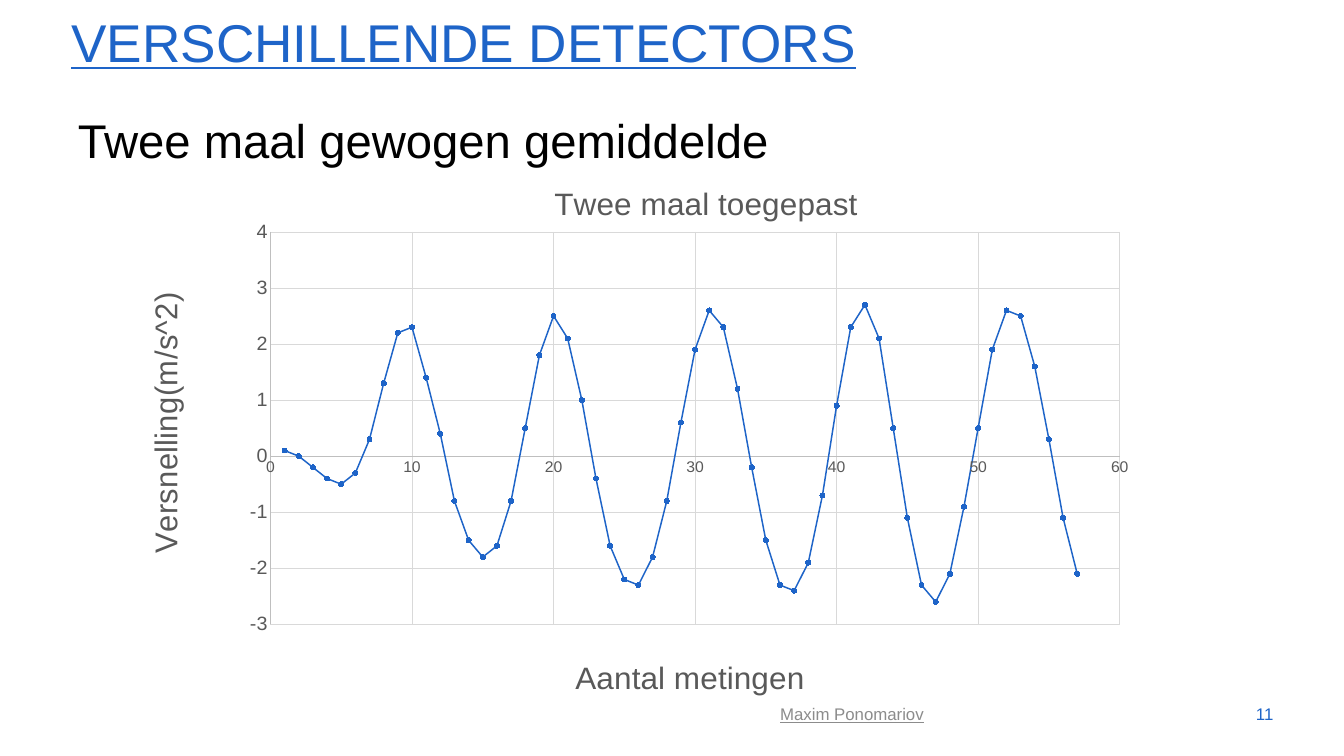
from pptx import Presentation
from pptx.chart.data import XyChartData
from pptx.dml.color import RGBColor
from pptx.enum.chart import XL_CHART_TYPE, XL_MARKER_STYLE, XL_TICK_MARK
from pptx.enum.text import MSO_ANCHOR, PP_ALIGN
from pptx.oxml import parse_xml
from pptx.oxml.ns import nsdecls, qn
from pptx.util import Cm, Pt

FONT = "Arial"
BLUE, GREY = "1E64C8", "595959"
VALUES = [
    0.1, 0, -0.2, -0.4, -0.5, -0.3, 0.3, 1.3, 2.2, 2.3, 1.4, 0.4,
    -0.8, -1.5, -1.8, -1.6, -0.8, 0.5, 1.8, 2.5, 2.1, 1, -0.4,
    -1.6, -2.2, -2.3, -1.8, -0.8, 0.6, 1.9, 2.6, 2.3, 1.2, -0.2,
    -1.5, -2.3, -2.4, -1.9, -0.7, 0.9, 2.3, 2.7, 2.1, 0.5, -1.1,
    -2.3, -2.6, -2.1, -0.9, 0.5, 1.9, 2.6, 2.5, 1.6, 0.3, -1.1, -2.1,
]


def paint(color, tone):
    """Set a colour format from a hex string."""
    color.rgb = RGBColor.from_string(tone)


def style(font, size, tone):
    """Set face, size and colour of a font."""
    font.name, font.size, font.bold = FONT, Pt(size), False
    paint(font.color, tone)


def stroke(line, tone, width):
    """Set colour and width of a line."""
    paint(line.color, tone)
    line.width = Pt(width)


def add_text(slide, box, text, size, tone, anchor=MSO_ANCHOR.MIDDLE,
             align=PP_ALIGN.LEFT, space=1.0, under=False):
    """Add a text box with one run and return its frame."""
    frame = slide.shapes.add_textbox(*map(Cm, box)).text_frame
    frame.word_wrap = True
    frame.vertical_anchor = anchor
    para = frame.paragraphs[0]
    para.alignment, para.line_spacing = align, space
    run = para.add_run()
    run.text = text
    style(run.font, size, tone)
    run.font.underline = under
    return frame


def place(node, index, inner=False, **parts):
    """Give a chart element a manual layout."""
    old = node.find(qn("c:layout"))
    if old is not None:
        node.remove(old)
    target = '<c:layoutTarget val="inner"/>' if inner else ""
    modes = "".join(f'<c:{key}Mode val="edge"/>' for key in "xy")
    sizes = "".join(f'<c:{key} val="{val}"/>' for key, val in parts.items())
    node.insert(index, parse_xml(
        f'<c:layout {nsdecls("c")}><c:manualLayout>{target}{modes}{sizes}'
        "</c:manualLayout></c:layout>"))


def set_title(title, text, x, y, turn=0):
    """Write and place a chart or axis title."""
    run = title.text_frame.paragraphs[0].add_run()
    run.text = text
    style(run.font, 32, GREY)
    body = title.element.find(".//" + qn("a:bodyPr"))
    body.set("rot", str(turn * 60000))
    place(title.element, 1, x=x, y=y)


def set_axis(axis, low, high, step, size):
    """Set scale, grid and labels of an axis."""
    axis.minimum_scale, axis.maximum_scale = low, high
    axis.major_unit = step
    axis.major_tick_mark = axis.minor_tick_mark = XL_TICK_MARK.NONE
    axis.has_major_gridlines = True
    stroke(axis.major_gridlines.format.line, "D9D9D9", 0.75)
    stroke(axis.format.line, "BFBFBF", 0.75)
    style(axis.tick_labels.font, size, GREY)


def add_plot(slide, box):
    """Add the smooth scatter chart of the readings."""
    data = XyChartData()
    points = data.add_series("Series 1")
    for count, value in enumerate(VALUES, 1):
        points.add_data_point(count, value)
    chart = slide.shapes.add_chart(
        XL_CHART_TYPE.XY_SCATTER_SMOOTH, *map(Cm, box), data).chart
    style(chart.font, 10, "000000")
    chart.has_legend = False
    chart.has_title = True
    chart.plots[0].vary_by_categories = False

    across, up = chart.category_axis, chart.value_axis
    set_axis(across, 0, 60, 10, 16)
    set_axis(up, -3, 4, 1, 20)
    set_title(chart.chart_title, "Twee maal toegepast", 0.42, 0.04)
    set_title(across.axis_title, "Aantal metingen", 0.44, 0.92)
    set_title(up.axis_title, "Versnelling(m/s^2)", 0.03, 0.25, -90)
    area = chart.element.find(".//" + qn("c:plotArea"))
    place(area, 0, True, x=0.155, y=0.14, w=0.809, h=0.728)

    curve = chart.plots[0].series[0]
    curve.smooth = True
    stroke(curve.format.line, BLUE, 1.5)
    mark = curve.marker
    mark.style, mark.size = XL_MARKER_STYLE.CIRCLE, 5
    mark.format.fill.solid()
    paint(mark.format.fill.fore_color, BLUE)
    stroke(mark.format.line, BLUE, 0.75)


def main():
    """Build the slide and save it."""
    deck = Presentation()
    deck.slide_width, deck.slide_height = Cm(48.16), Cm(27.1)
    slide = deck.slides.add_slide(deck.slide_layouts[6])
    add_text(slide, (2.31, 0.38, 43.64, 2.39), "VERSCHILLENDE DETECTORS",
             54, BLUE, MSO_ANCHOR.BOTTOM, space=0.9, under=True)
    body = add_text(slide, (2.31, 3.33, 43.61, 18.59),
                    "Twee maal gewogen gemiddelde", 48, "000000",
                    MSO_ANCHOR.TOP, space=1.2)
    body.margin_left, body.margin_top = Cm(0.48), Cm(0.25)
    add_text(slide, (43.31, 24.87, 2.57, 1.45), "11", 17.1, BLUE,
             align=PP_ALIGN.RIGHT)
    add_plot(slide, (3.86, 5.61, 37.62, 19.69))
    add_text(slide, (18.92, 24.99, 23.22, 1.22), "Maxim Ponomariov",
             17.1, "8C8C8C", align=PP_ALIGN.CENTER, under=True)
    deck.save("out.pptx")


if __name__ == "__main__":
    main()
